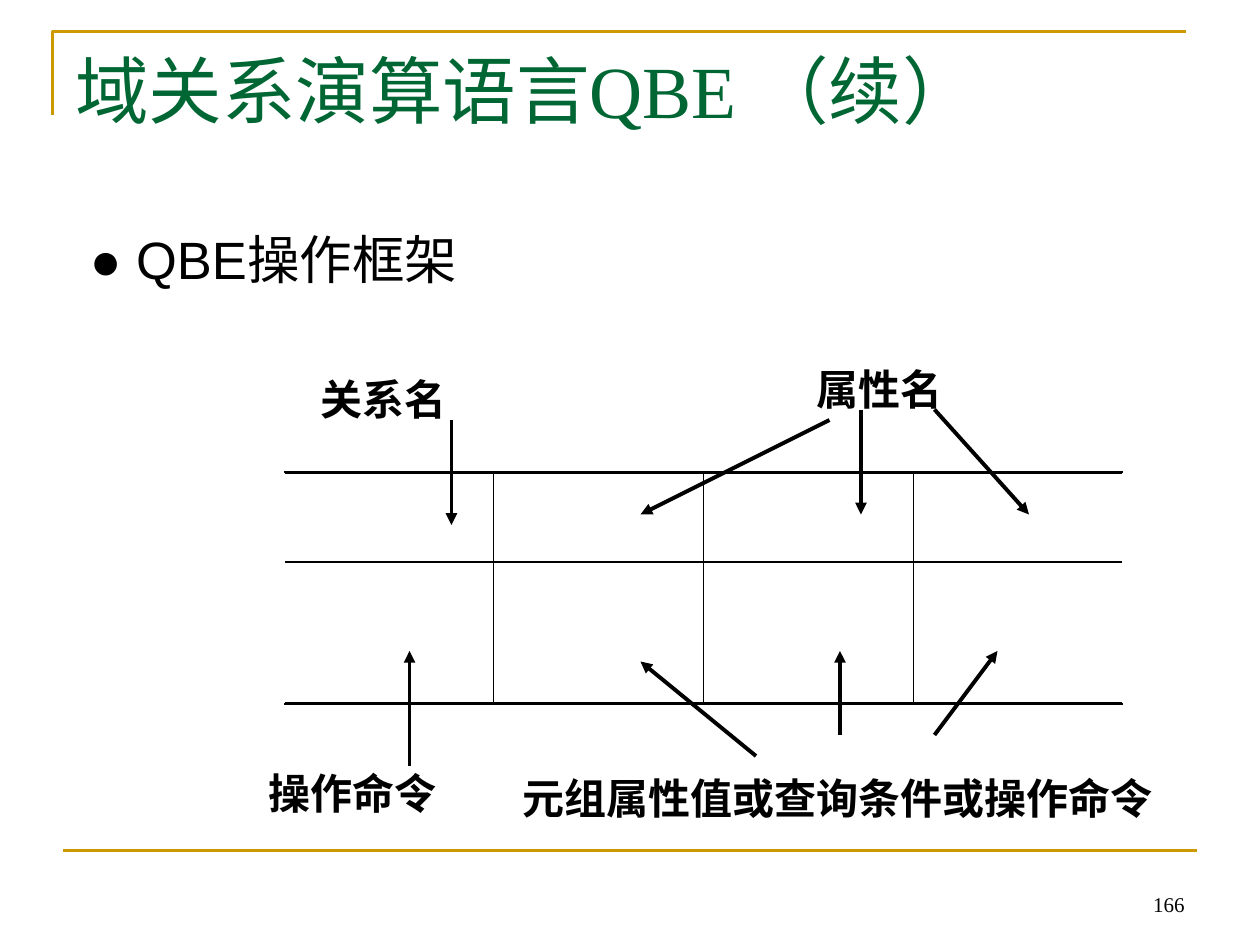
from dataclasses import dataclass

from lxml import etree
from pptx import Presentation
from pptx.dml.color import RGBColor
from pptx.enum.shapes import MSO_CONNECTOR
from pptx.enum.text import MSO_ANCHOR, PP_ALIGN
from pptx.oxml.ns import qn
from pptx.util import Emu, Pt

PX = 7620  # EMU per px, 120 px to the inch
STRAIGHT = MSO_CONNECTOR.STRAIGHT
TOP, MIDDLE, BOTTOM = MSO_ANCHOR.TOP, MSO_ANCHOR.MIDDLE, MSO_ANCHOR.BOTTOM
LEFT, CENTER, RIGHT = PP_ALIGN.LEFT, PP_ALIGN.CENTER, PP_ALIGN.RIGHT
JUSTIFY = PP_ALIGN.JUSTIFY

COLORS = {
    "gold": "CC9900",
    "green": "006633",
    "black": "000000",
    "white": "FFFFFF",
}


@dataclass
class Line:
    x1: int
    y1: int
    x2: int
    y2: int
    color: str = "black"
    width: float = 2.25
    arrow: bool = False


@dataclass
class Text:
    text: str
    x: int
    y: int
    w: int
    h: int
    size: int = 24
    font: str = "Times New Roman"
    color: str = "black"
    bold: bool = False
    align: PP_ALIGN = LEFT
    anchor: MSO_ANCHOR = TOP
    wrap: bool = True
    hanging: int = 0
    before: int = 0


def px(n: int) -> Emu:
    return Emu(n * PX)


def rgb(name: str) -> RGBColor:
    return RGBColor.from_string(COLORS[name])


def set_attrs(obj, values: dict) -> None:
    for name, value in values.items():
        setattr(obj, name, value)


def draw_line(shapes, ln: Line) -> None:
    s = shapes.add_connector(STRAIGHT, px(ln.x1), px(ln.y1), px(ln.x2), px(ln.y2))
    s.line.color.rgb = rgb(ln.color)
    s.line.width = Pt(ln.width)
    if ln.arrow:
        tail = etree.SubElement(s.line._get_or_add_ln(), qn("a:tailEnd"))
        tail.set("type", "triangle")
    etree.SubElement(s._element.spPr, qn("a:effectLst"))


def draw_text(shapes, t: Text) -> None:
    tf = shapes.add_textbox(px(t.x), px(t.y), px(t.w), px(t.h)).text_frame
    set_attrs(tf, {"word_wrap": t.wrap, "vertical_anchor": t.anchor})
    p = tf.paragraphs[0]
    set_attrs(p, {"alignment": t.align, "space_before": Pt(t.before)})
    if t.hanging:
        pPr = p._p.get_or_add_pPr()
        pPr.set("marL", str(px(t.hanging)))
        pPr.set("indent", str(-px(t.hanging)))
    r = p.add_run()
    r.text = t.text
    set_attrs(r.font, {"name": t.font, "size": Pt(t.size), "bold": t.bold})
    r.font.color.rgb = rgb(t.color)


def draw_corner(shapes, points: list[tuple[int, int]]) -> None:
    builder = shapes.build_freeform(*points[0], scale=PX)
    builder.add_line_segments(points[1:], close=False)
    sp = builder.convert_to_shape()
    sp.shadow.inherit = False
    sp.fill.background()
    sp.line.color.rgb = rgb("gold")
    sp.line.width = Pt(1.5)


def label(text: str, x: int, y: int, w: int) -> Text:
    return Text(text, x, y, w, 80, bold=True, align=CENTER, anchor=MIDDLE, wrap=False)


# Page frame
CORNER = [(50, 110), (50, 30), (1130, 30)]
FOOT_RULE = Line(60, 810, 1140, 810, "gold", 1.5)

# Title, bullet line and page number
TEXTS = [
    Text("域关系演算语言QBE （续）", 60, 37, 1080, 150, size=42, color="green"),
    Text(" ● QBE操作框架", 60, 210, 1080, 88, size=30, font="Arial",
         align=JUSTIFY, hanging=45, before=6),
    Text("166", 860, 819, 280, 60, size=12, align=RIGHT, anchor=BOTTOM),
]

# QBE frame: heavy top and bottom, open sides
COLS = [270 + 200 * i for i in range(5)]
ROWS = [450, 535, 670]
GRID = [
    Line(COLS[0], y, COLS[-1], y, width=1 if y == ROWS[1] else 2.25) for y in ROWS
] + [
    Line(x, ROWS[0], x, ROWS[-1], "white", 2.25) if x in (COLS[0], COLS[-1])
    else Line(x, ROWS[0], x, ROWS[-1], width=1)
    for x in COLS
]

# Labels, each box wide enough for one line
LABELS = [
    label("关系名", 260, 340, 210),
    label("属性名", 748, 330, 180),
    label("操作命令", 232, 715, 208),
    label("元组属性值或查询条件或操作命令", 468, 720, 660),
]

# Arrows from the labels into the cells
ARROWS = [
    Line(*ends, arrow=True)
    for ends in [
        (430, 400, 430, 500),
        (390, 730, 390, 620),
        (800, 700, 800, 620),
        (890, 700, 950, 620),
        (720, 720, 610, 630),
        (820, 390, 820, 490),
        (790, 400, 610, 490),
        (890, 390, 980, 490),
    ]
]


def main() -> None:
    prs = Presentation()
    set_attrs(prs, {"slide_width": px(1200), "slide_height": px(900)})
    shapes = prs.slides.add_slide(prs.slide_layouts[6]).shapes
    draw_corner(shapes, CORNER)
    for ln in [FOOT_RULE, *GRID]:
        draw_line(shapes, ln)
    for t in TEXTS + LABELS:
        draw_text(shapes, t)
    for ln in ARROWS:
        draw_line(shapes, ln)
    prs.save("out.pptx")


if __name__ == "__main__":
    main()
